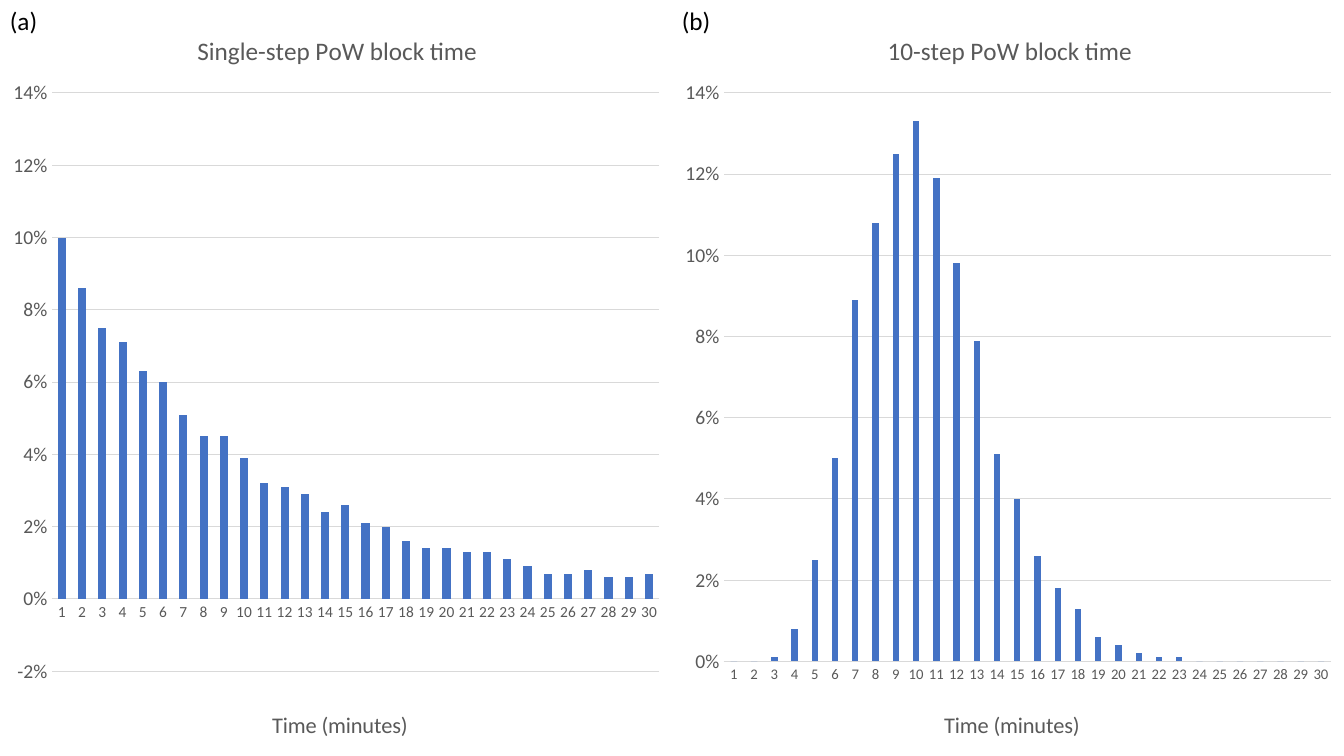
from lxml import etree
from pptx import Presentation
from pptx import util as u
from pptx.chart.data import CategoryChartData
from pptx.dml.color import RGBColor
from pptx.enum import chart as c
from pptx.enum import text
from pptx.oxml.ns import qn

THEME = {
    "font": "Calibri",
    "black": RGBColor.from_string("000000"),
    "gray": RGBColor.from_string("595959"),
    "grid": RGBColor.from_string("D9D9D9"),
    "bar": RGBColor.from_string("4472C4"),
    "title": 18, "axis_title": 16, "value": 14, "line": 0.75,
}

PANELS = [
    {"label": "(a)", "title": "Single-step PoW block time",
     "type": c.XL_CHART_TYPE.COLUMN_STACKED, "gap": 150, "overlap": 100,
     "minimum": -0.02, "category_size": 11, "title_left": 0.287, "plot_height": 0.765,
     "percents": [10, 8.6, 7.5, 7.1, 6.3, 6, 5.1, 4.5, 4.5, 3.9,
                  3.2, 3.1, 2.9, 2.4, 2.6, 2.1, 2, 1.6, 1.4, 1.4,
                  1.3, 1.3, 1.1, 0.9, 0.7, 0.7, 0.8, 0.6, 0.6, 0.7]},
    {"label": "(b)", "title": "10-step PoW block time",
     "type": c.XL_CHART_TYPE.COLUMN_CLUSTERED, "gap": 219, "overlap": -27,
     "minimum": 0, "category_size": 10.5, "title_left": 0.314, "plot_height": 0.752,
     "percents": [0, 0, 0.1, 0.8, 2.5, 5, 8.9, 10.8, 12.5, 13.3,
                  11.9, 9.8, 7.9, 5.1, 4, 2.6, 1.8, 1.3, 0.6, 0.4,
                  0.2, 0.1, 0.1] + [0] * 7},
]


def set_font(font, size, color):
    font.name = THEME["font"]
    font.size = u.Pt(size)
    font.bold = False
    font.color.rgb = color


def place(element, index, **shares):
    """Lay out a chart part by shares of the chart's size."""
    for old in element.findall(qn("c:layout")):
        element.remove(old)
    layout = etree.Element(qn("c:layout"))
    manual = etree.SubElement(layout, qn("c:manualLayout"))
    settings = {"xMode": "edge", "yMode": "edge", **shares}
    if "w" in shares:
        settings = {"layoutTarget": "inner", **settings}
    for name, value in settings.items():
        etree.SubElement(manual, qn("c:" + name)).set("val", str(value))
    element.insert(index, layout)


presentation = Presentation()
presentation.slide_width = u.Inches(13.33)
presentation.slide_height = u.Inches(7.5)
slide = presentation.slides.add_slide(presentation.slide_layouts[6])
panel_width = presentation.slide_width // len(PANELS)

# Charts, one per column
for column, panel in enumerate(PANELS):
    data = CategoryChartData(number_format="0.0%")
    data.categories = [str(minute) for minute in range(1, 31)]
    data.add_series("Series 1", [round(percent / 100, 3) for percent in panel["percents"]])
    chart = slide.shapes.add_chart(panel["type"], column * panel_width, 0, panel_width,
                                   presentation.slide_height, data).chart
    set_font(chart.font, panel["category_size"], THEME["black"])
    chart.has_legend = False

    # Bars
    plot = chart.plots[0]
    plot.vary_by_categories = False
    plot.gap_width = panel["gap"]
    plot.overlap = panel["overlap"]
    fill = plot.series[0].format.fill
    fill.solid()
    fill.fore_color.rgb = THEME["bar"]

    # Axes
    minutes, shares = chart.category_axis, chart.value_axis
    for axis, size in ((minutes, panel["category_size"]), (shares, THEME["value"])):
        axis.major_tick_mark = axis.minor_tick_mark = c.XL_TICK_MARK.NONE
        set_font(axis.tick_labels.font, size, THEME["gray"])
    shares.minimum_scale = panel["minimum"]
    shares.maximum_scale = 0.14
    shares.major_unit = 0.02
    shares.tick_labels.number_format = "0%"
    shares.tick_labels.number_format_is_linked = False
    shares.format.line.fill.background()
    shares.has_major_gridlines = True
    for line in (minutes.format.line, shares.major_gridlines.format.line):
        line.color.rgb = THEME["grid"]
        line.width = u.Pt(THEME["line"])

    # Titles
    for title, words, size in ((chart.chart_title, panel["title"], THEME["title"]),
                               (minutes.axis_title, "Time (minutes)", THEME["axis_title"])):
        title.text_frame.text = words
        set_font(title.text_frame.paragraphs[0].font, size, THEME["gray"])

    # Positions inside the chart
    frame = chart._chartSpace
    place(frame.xpath("c:chart/c:title")[0], 1, x=panel["title_left"], y=0.038)
    place(frame.xpath(".//c:catAx/c:title")[0], 1, x=0.399, y=0.933)
    place(frame.xpath("c:chart/c:plotArea")[0], 0,
          x=0.077, y=0.123, w=0.904, h=panel["plot_height"])

# Panel labels, above the charts
for column, panel in enumerate(PANELS):
    label = slide.shapes.add_textbox(column * panel_width, 0, u.Inches(0.5), u.Inches(0.4))
    label.text_frame.word_wrap = True
    label.text_frame.auto_size = text.MSO_AUTO_SIZE.SHAPE_TO_FIT_TEXT
    paragraph = label.text_frame.paragraphs[0]
    paragraph.text = panel["label"]
    set_font(paragraph.font, THEME["title"], THEME["black"])

presentation.save("out.pptx")
